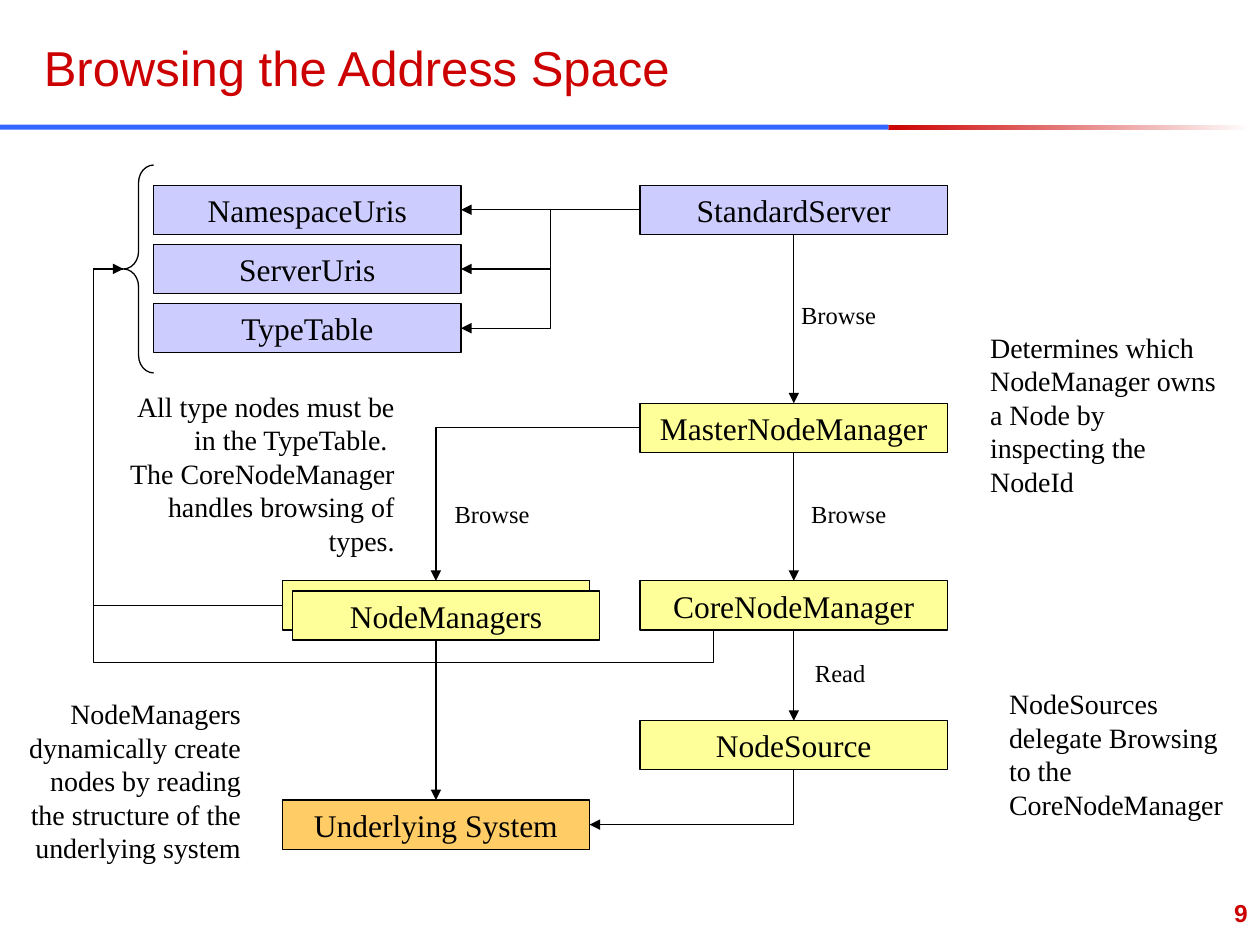
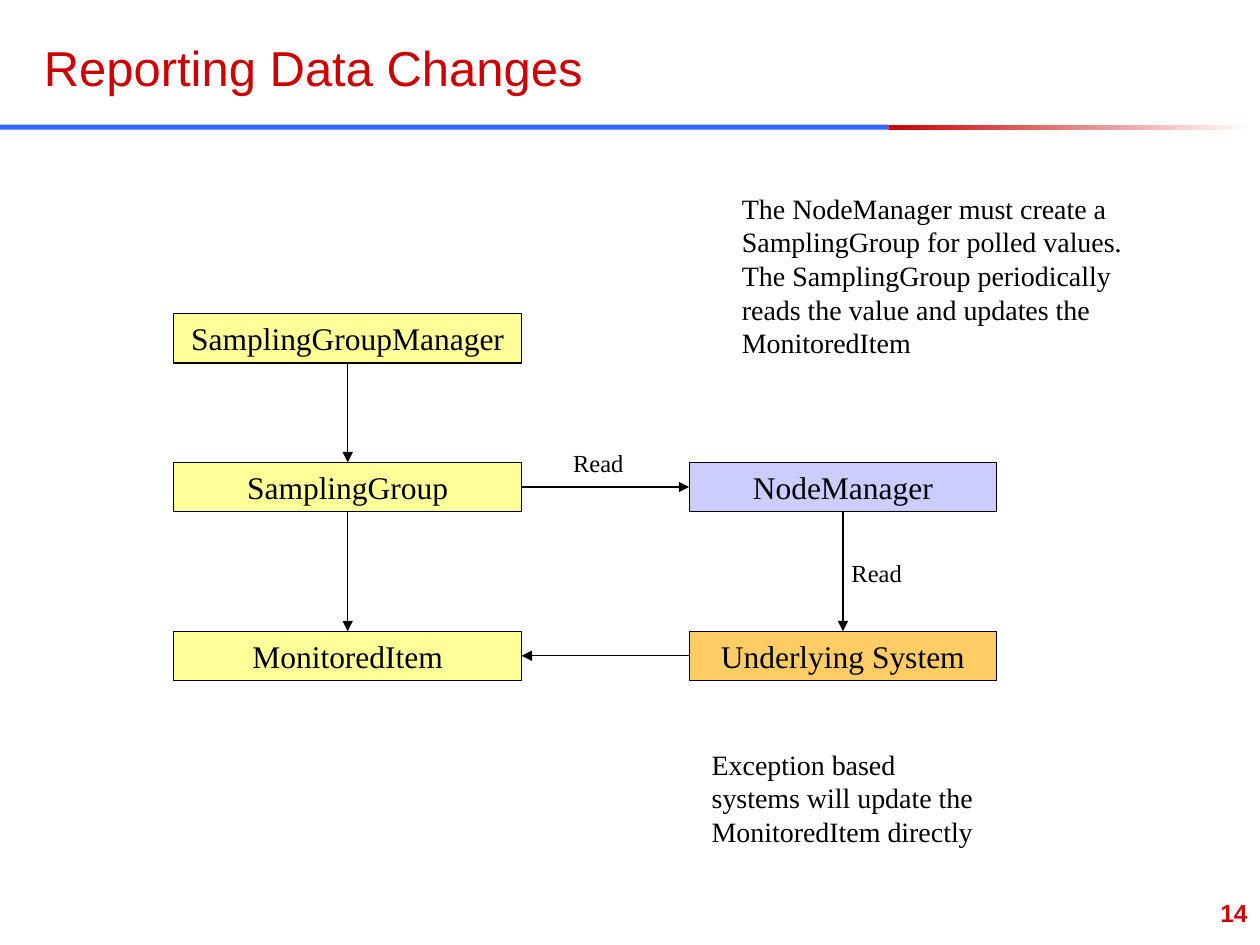
from dataclasses import dataclass

from lxml import etree
from pptx import Presentation
from pptx.dml.color import RGBColor
from pptx.enum.shapes import MSO_CONNECTOR, MSO_SHAPE
from pptx.enum.text import MSO_ANCHOR, PP_ALIGN
from pptx.oxml.ns import qn
from pptx.util import Inches, Pt

RECT, BRACE = MSO_SHAPE.RECTANGLE, MSO_SHAPE.LEFT_BRACE
STRAIGHT, ELBOW = MSO_CONNECTOR.STRAIGHT, MSO_CONNECTOR.ELBOW
LEFT, CENTER, RIGHT = PP_ALIGN.LEFT, PP_ALIGN.CENTER, PP_ALIGN.RIGHT
TOP, MIDDLE = MSO_ANCHOR.TOP, MSO_ANCHOR.MIDDLE


@dataclass(frozen=True)
class Theme:
    red: str = "CC0000"
    blue: str = "3366FF"
    white: str = "FFFFFF"
    ink: str = "000000"
    lilac: str = "CCCCFF"
    yellow: str = "FFFF99"
    orange: str = "FFCC66"
    head_font: str = "Arial"
    body_font: str = "Times New Roman"
    title: int = 28
    box: int = 18
    note: int = 16
    label: int = 14
    line: float = 0.75


T = Theme()
BOX_W, GROUP_W, BOX_H = 2.44, 2.76, 0.39
LABEL_W, LABEL_H = 0.9, 0.34
L, R, U, D = (0, 0.5), (1, 0.5), (0.5, 0), (0.5, 1)

TABLES = ["NamespaceUris", "ServerUris", "TypeTable"]
TABLE_X, TABLE_Y, TABLE_STEP = 1.22, 1.47, 0.47
SERVER_X, MANAGER_X = 5.08, 2.24
GROUP_X, SOURCE_X = 1.38, 5.47
TRUNK_X, LOOP_X, LOOP_Y = 4.37, 0.74, 5.26

SLIDES = [
    {
        "title": "Browsing the Address Space",
        "number": "9",
        "brace": (0.98, 1.31, 0.24, 1.65),
        "boxes": {
            **{name: (name, TABLE_X, TABLE_Y + i * TABLE_STEP, BOX_W, T.lilac)
               for i, name in enumerate(TABLES)},
            "server": ("StandardServer", SERVER_X, TABLE_Y, BOX_W, T.lilac),
            "master": ("MasterNodeManager", SERVER_X, 3.2, BOX_W, T.yellow),
            "core": ("CoreNodeManager", SERVER_X, 4.61, BOX_W, T.yellow),
            "source": ("NodeSource", SERVER_X, 5.72, BOX_W, T.yellow),
            "back": ("", MANAGER_X, 4.61, BOX_W, T.yellow),
            "front": ("NodeManagers", MANAGER_X + 0.08, 4.69, BOX_W, T.yellow),
            "system": ("Underlying System", MANAGER_X, 6.35, BOX_W, T.orange),
        },
        "lines": [
            ("server", L, "NamespaceUris", R, {}),
            ("server", L, "ServerUris", R, {"bends": 2, "via_x": TRUNK_X}),
            ("server", L, "TypeTable", R, {"bends": 2, "via_x": TRUNK_X}),
            ("server", D, "master", U, {}),
            ("master", D, "core", U, {}),
            ("core", D, "source", U, {}),
            ("master", L, "back", U, {"bends": 1}),
            ("back", D, "system", U, {}),
            ("system", R, "source", D, {"bends": 1, "arrow": "headEnd"}),
            ("back", L, "brace", L, {"bends": 2, "via_x": LOOP_X}),
            ("brace", L, "core", (0.24, 1),
             {"bends": 3, "via_x": LOOP_X, "via_y": LOOP_Y, "arrow": None}),
        ],
        "labels": [
            ("Browse", 6.26, 2.33),
            ("Browse", 3.51, 3.91),
            ("Browse", 6.34, 3.91),
            ("Read", 6.37, 5.17),
        ],
        "notes": [
            (["Determines which NodeManager owns a Node by inspecting the NodeId"],
             7.76, 2.57, 2.05, 1.49, LEFT),
            (["All type nodes must be in the TypeTable. ",
              "The CoreNodeManager handles browsing of types."],
             0.9, 3.04, 2.33, 1.42, RIGHT),
            (["NodeManagers dynamically create nodes by reading the structure "
              "of the underlying system"], 0, 5.48, 2.01, 1.42, RIGHT),
            (["NodeSources delegate Browsing to the CoreNodeManager"],
             7.91, 5.4, 2.05, 1.18, LEFT),
        ],
    },
    {
        "title": "Reporting Data Changes",
        "number": "14",
        "boxes": {
            "manager": ("SamplingGroupManager", GROUP_X, 2.49, GROUP_W, T.yellow),
            "group": ("SamplingGroup", GROUP_X, 3.67, GROUP_W, T.yellow),
            "item": ("MonitoredItem", GROUP_X, 5.01, GROUP_W, T.yellow),
            "node": ("NodeManager", SOURCE_X, 3.67, BOX_W, T.lilac),
            "system": ("Underlying System", SOURCE_X, 5.01, BOX_W, T.orange),
        },
        "lines": [
            ("manager", D, "group", U, {}),
            ("group", D, "item", U, {}),
            ("group", R, "node", L, {}),
            ("node", D, "system", U, {}),
            ("system", L, "item", R, {}),
        ],
        "labels": [("Read", 6.66, 4.38), ("Read", 4.45, 3.51)],
        "notes": [
            (["The NodeManager must create a SamplingGroup for polled values. "
              "The SamplingGroup periodically reads the value and updates the "
              "MonitoredItem"], 5.79, 1.47, 3.54, 1.42, LEFT),
            (["Exception based systems will update the MonitoredItem directly"],
             5.55, 5.88, 2.36, 0.95, LEFT),
        ],
    },
]


def rgb(color):
    return RGBColor.from_string(color)


def write(sp, paragraphs, size, font=T.body_font, color=T.ink, bold=False,
          align=LEFT, anchor=TOP, wrap=True):
    tf = sp.text_frame
    tf.word_wrap = wrap
    tf.vertical_anchor = anchor
    for i, text in enumerate(paragraphs):
        p = tf.paragraphs[0] if i == 0 else tf.add_paragraph()
        p.alignment = align
        r = p.add_run()
        r.text = text
        r.font.size, r.font.name, r.font.bold = Pt(size), font, bold
        r.font.color.rgb = rgb(color)


def add_text(s, paragraphs, at, size, **fmt):
    write(s.shapes.add_textbox(*map(Inches, at)), paragraphs, size, **fmt)


def add_shape(s, kind, at, fill=None, line=None):
    sp = s.shapes.add_shape(kind, *map(Inches, at))
    sp.shadow.inherit = False
    if fill:
        sp.fill.solid()
        sp.fill.fore_color.rgb = rgb(fill)
    else:
        sp.fill.background()
    if line:
        sp.line.color.rgb = rgb(line)
        sp.line.width = Pt(T.line)
    else:
        sp.line.fill.background()
    return sp


def add_line(s, start, end, bends=0, via_x=None, via_y=None, arrow="tailEnd"):
    (x1, y1), (x2, y2) = start, end
    cn = s.shapes.add_connector(ELBOW if bends else STRAIGHT,
                                *map(Inches, (x1, y1, x2, y2)))
    cn.line.color.rgb = rgb(T.ink)
    cn.line.width = Pt(T.line)
    spPr = cn._element.spPr
    etree.SubElement(spPr, qn("a:effectLst"))
    if arrow:
        etree.SubElement(spPr.find(qn("a:ln")), qn(f"a:{arrow}"), type="triangle")
    if bends:
        geom = spPr.find(qn("a:prstGeom"))
        geom.set("prst", f"bentConnector{bends + 1}")
        guides = geom.find(qn("a:avLst"))
        ratios = []
        if via_x is not None:
            ratios.append((via_x - x1) / (x2 - x1))
        if via_y is not None:
            ratios.append((via_y - y1) / (y2 - y1))
        for i, ratio in enumerate(ratios, 1):
            etree.SubElement(guides, qn("a:gd"), name=f"adj{i}",
                             fmla=f"val {round(ratio * 100000)}")


def add_frame(s, title, number):
    fade = add_shape(s, RECT, (7.05, 0.99, 2.88, 0.04))
    fade.fill.gradient()
    fade.fill.gradient_angle = 0
    for stop, color in zip(fade.fill.gradient_stops, (T.red, T.white)):
        stop.color.rgb = rgb(color)
    add_shape(s, RECT, (0, 0.99, 7.05, 0.04), T.blue)
    add_text(s, [title], (0.25, 0.25, 6.83, 0.58), T.title,
             font=T.head_font, color=T.red)
    add_text(s, [number], (7.92, 7.08, 2.08, 0.42), T.label,
             font=T.head_font, color=T.red, bold=True, align=RIGHT)


def build_slide(prs, data):
    s = prs.slides.add_slide(prs.slide_layouts[6])
    add_frame(s, data["title"], data["number"])
    places = {name: (x, y, w, BOX_H)
              for name, (_, x, y, w, _) in data["boxes"].items()}
    if "brace" in data:
        places["brace"] = data["brace"]
        sp = add_shape(s, BRACE, data["brace"], line=T.ink)
        sp.adjustments[0] = 0.58

    def point(name, side):
        x, y, w, h = places[name]
        return x + w * side[0], y + h * side[1]

    for start, out, end, into, route in data["lines"]:
        add_line(s, point(start, out), point(end, into), **route)
    for name, (text, *_, fill) in data["boxes"].items():
        sp = add_shape(s, RECT, places[name], fill, T.ink)
        if text:
            write(sp, [text], T.box, align=CENTER, anchor=MIDDLE, wrap=False)
    for text, x, y in data["labels"]:
        add_text(s, [text], (x, y, LABEL_W, LABEL_H), T.label)
    for paragraphs, *at, align in data["notes"]:
        add_text(s, paragraphs, at, T.note, align=align)


def main():
    prs = Presentation()
    prs.slide_width, prs.slide_height = Inches(10), Inches(7.5)
    for data in SLIDES:
        build_slide(prs, data)
    prs.save("out.pptx")


if __name__ == "__main__":
    main()
